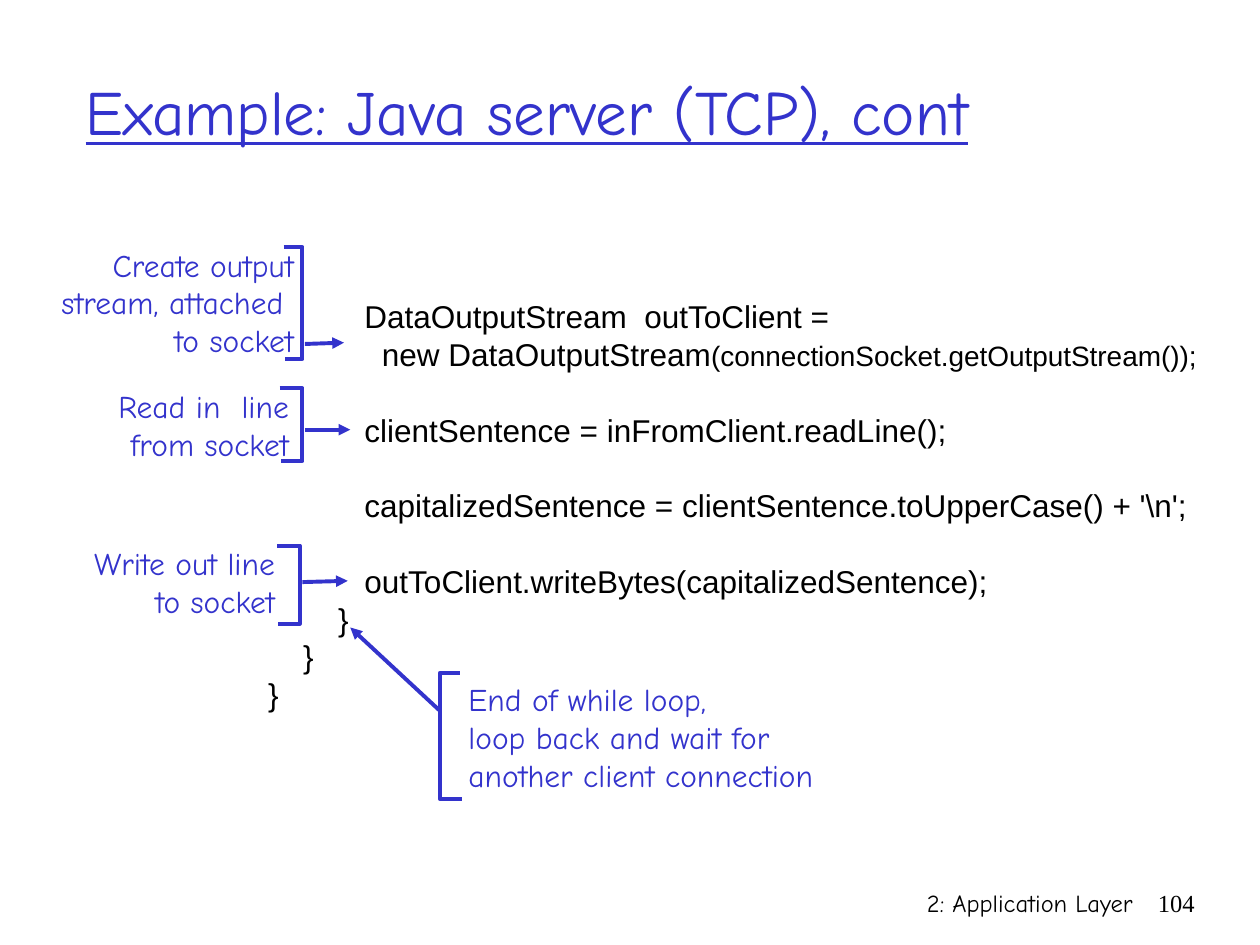
from dataclasses import dataclass

from lxml import etree
from pptx import Presentation, util as u
from pptx.dml.color import RGBColor
from pptx.enum import shapes, text
from pptx.oxml.ns import qn

LEFT, RIGHT = text.PP_ALIGN.LEFT, text.PP_ALIGN.RIGHT
TOP, MID = text.MSO_ANCHOR.TOP, text.MSO_ANCHOR.MIDDLE


@dataclass(frozen=True)
class Theme:
    ink: str = "000000"
    blue: str = "3333CC"
    hand: str = "Comic Neue"
    sans: str = "Arial"
    serif: str = "Times New Roman"
    head: int = 36
    body: int = 18
    small: int = 16
    foot: int = 14
    line: float = 2.25
    lead: float = 1.2


def write(para, words, *, font, size, color, under=None):
    run = para.add_run()
    run.text = words
    run.font.name = font
    run.font.size = u.Pt(size)
    run.font.color.rgb = RGBColor.from_string(color)
    run.font.underline = under


class Page:
    def __init__(self, slide, theme):
        self.slide, self.theme = slide, theme

    def box(self, left, top, width, height, anchor=TOP):
        shape = self.slide.shapes.add_textbox(
            *map(u.Inches, (left, top, width, height)))
        frame = shape.text_frame
        frame.word_wrap = True
        frame.vertical_anchor = anchor
        return frame

    def para(self, frame, index, align=LEFT):
        para = frame.add_paragraph() if index else frame.paragraphs[0]
        para.alignment = align
        para.line_spacing = u.Pt(self.theme.body * self.theme.lead)
        return para

    def title(self, words, left, top, width, height):
        t, shape = self.theme, self.slide.shapes.title
        shape.left, shape.top = u.Inches(left), u.Inches(top)
        shape.width, shape.height = u.Inches(width), u.Inches(height)
        frame = shape.text_frame
        frame.vertical_anchor = MID
        para = self.para(frame, 0)
        para.line_spacing = u.Pt(t.head * t.lead)
        write(para, words, font=t.hand, size=t.head, color=t.blue, under=True)

    def code(self, lines, left, top, width, height):
        """Lines are (indent in spaces, gap above in lines, size and text runs)."""
        t, frame = self.theme, self.box(left, top, width, height)
        space = t.body * 0.278
        for i, (indent, gap, runs) in enumerate(lines):
            para = self.para(frame, i)
            para.space_before = u.Pt(gap * t.body * t.lead)
            para._p.get_or_add_pPr().set("marL", str(u.Pt(indent * space)))
            for size, words in runs:
                write(para, words, font=t.sans, size=size, color=t.ink)

    def note(self, lines, left, top, width, align=RIGHT):
        t = self.theme
        frame = self.box(left, top, width, 0.1 + 0.3 * len(lines), MID)
        for i, words in enumerate(lines):
            write(self.para(frame, i, align), words,
                  font=t.hand, size=t.body, color=t.blue)

    def footer(self, words, left, width, font):
        t = self.theme
        para = self.box(left, 7, width, 0.5).paragraphs[0]
        para.alignment = RIGHT
        write(para, words, font=font, size=t.foot, color=t.ink)

    def stroke(self, shape):
        shape.line.color.rgb = RGBColor.from_string(self.theme.blue)
        shape.line.width = u.Pt(self.theme.line)

    def bracket(self, spine, top, bottom, upper, lower):
        """Upper and lower are the x positions where the two arms end."""
        build = self.slide.shapes.build_freeform(u.Inches(upper), u.Inches(top))
        ends = (spine, top), (spine, bottom), (lower, bottom)
        build.add_line_segments(
            [(u.Inches(x), u.Inches(y)) for x, y in ends], close=False)
        shape = build.convert_to_shape()
        shape.fill.background()
        shape.shadow.inherit = False
        self.stroke(shape)

    def arrow(self, *ends):
        line = self.slide.shapes.add_connector(
            shapes.MSO_CONNECTOR.STRAIGHT, *map(u.Inches, ends))
        self.stroke(line)
        etree.SubElement(line.line._get_or_add_ln(), qn("a:tailEnd"),
                         type="triangle")
        etree.SubElement(line._element.spPr, qn("a:effectLst"))


def main():
    deck = Presentation()
    deck.slide_width, deck.slide_height = u.Inches(10), u.Inches(7.5)
    t = Theme()
    page = Page(deck.slides.add_slide(deck.slide_layouts[5]), t)

    page.footer("2: Application Layer", 5.92, 3.17, t.hand)
    page.footer("104", 9.08, 0.5, t.serif)
    page.title("Example: Java server (TCP), cont", 0.58, 0.25, 8.5, 1.25)

    page.code([
        (11, 0, [(t.body, "DataOutputStream  outToClient =")]),
        (13, 0, [(t.body, "new DataOutputStream"),
                 (t.small, "(connectionSocket.getOutputStream());")]),
        (11, 1, [(t.body, "clientSentence = inFromClient.readLine();")]),
        (11, 1, [(t.body, "capitalizedSentence = "
                          "clientSentence.toUpperCase() + '\\n';")]),
        (11, 1, [(t.body, "outToClient.writeBytes(capitalizedSentence);")]),
        (8, 0, [(t.body, "}")]),
        (4, 0, [(t.body, "}")]),
        (0, 0, [(t.body, "}")]),
    ], 2.03, 2.31, 7.9, 3.4)

    page.note(["Create output", "stream, attached ", "to socket"],
              0.14, 1.9, 2.29)
    page.bracket(2.4, 1.96, 2.85, 2.25, 2.26)
    page.arrow(2.42, 2.73, 2.73, 2.72)

    page.note(["Read in  line", "from socket"], 0.64, 3.02, 1.75)
    page.bracket(2.4, 3.08, 3.66, 2.22, 2.23)
    page.arrow(2.42, 3.41, 2.78, 3.41)

    page.note(["Write out line", "to socket"], 0.44, 4.27, 1.84)
    page.bracket(2.38, 4.33, 4.95, 2.2, 2.21)
    page.arrow(2.4, 4.62, 2.76, 4.61)

    page.note(["End of while loop,", "loop back and wait for",
               "another client connection"], 3.62, 5.35, 3.2, LEFT)
    page.bracket(3.49, 5.34, 6.34, 3.65, 3.67)
    page.arrow(3.49, 5.64, 2.78, 4.98)

    deck.save("out.pptx")


if __name__ == "__main__":
    main()
